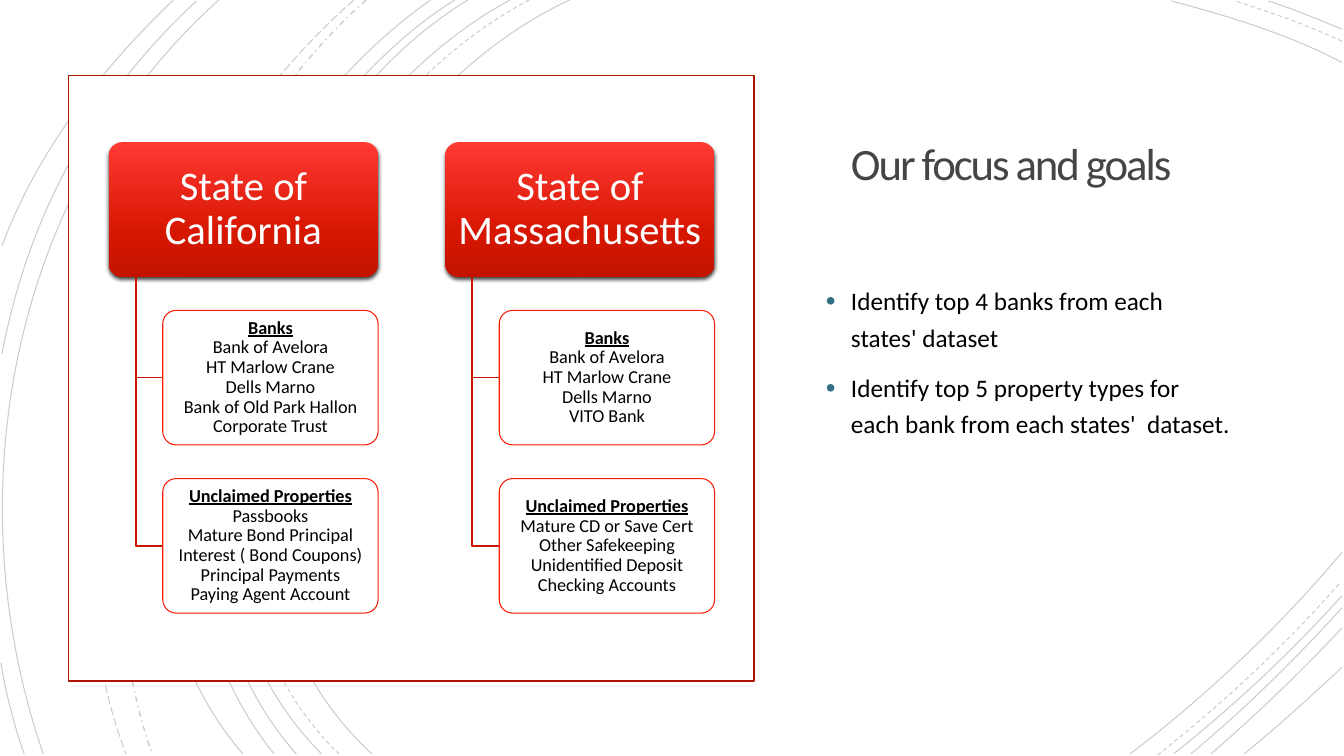
"""Builds the slide on the focus and goals for two states' datasets."""
from copy import deepcopy
from dataclasses import dataclass
from typing import Optional

from lxml.etree import SubElement
from pptx import Presentation
from pptx.dml.color import RGBColor
from pptx.enum.dml import MSO_LINE as Dash
from pptx.enum.shapes import MSO_SHAPE as Preset
from pptx.enum.text import MSO_ANCHOR as Anchor, PP_ALIGN as Align
from pptx.oxml.ns import qn
from pptx.util import Inches, Pt

COLUMNS, ROWS = 13.33, 7.5
CELL = Inches(1)
FONT = "Calibri"
BOX_W, BOX_H = 2.67, 1.335
STEP = 1.25
TREE_LEFT, TREE_TOP = 1.08, 1.41
Point = tuple[float, float]


@dataclass
class Arc:
    start: Point
    bend_in: Point
    bend_out: Point
    end: Point
    dash: Optional[Dash] = None
    weight: float = 0.75


@dataclass
class Branch:
    heading: str
    entries: list[str]


@dataclass
class State:
    title: str
    branches: list[Branch]


ARCS = [
    Arc((5.65, 0), (3.15, 1.15), (1.43, 5.4), (3.69, 7.48)),
    Arc((13.31, 0.62), (12.78, 0.34), (12.18, 0.16), (11.62, 0.01)),
    Arc((11.21, 7.48), (11.97, 6.9), (12.69, 6.22), (13.31, 5.48)),
    Arc((5.25, 0), (2.85, 1.25), (1.23, 5.37), (3.36, 7.48), Dash.DASH),
    Arc((13.31, 0.41), (12.97, 0.25), (12.6, 0.12), (12.25, 0.01), Dash.DASH),
    Arc((11.48, 7.49), (12.13, 6.98), (12.75, 6.4), (13.3, 5.77), Dash.DASH),
    Arc((5.06, 0), (2.7, 1.27), (1.1, 5.37), (3.19, 7.48)),
    Arc((13.31, 0.29), (13.07, 0.19), (12.83, 0.09), (12.58, 0.01)),
    Arc((11.64, 7.48), (12.23, 7.01), (12.8, 6.48), (13.31, 5.91)),
    Arc((4.64, 0), (2.44, 1.33), (1.1, 5.41), (2.94, 7.48)),
    Arc((11.81, 7.48), (12.34, 7.04), (12.84, 6.55), (13.31, 6.03)),
    Arc((4.51, 0), (2.31, 1.38), (0.97, 5.33), (2.72, 7.48)),
    Arc((12.01, 7.48), (12.46, 7.09), (12.9, 6.67), (13.31, 6.23)),
    Arc((4.27, 0), (2.17, 1.47), (0.53, 5.29), (2.41, 7.48)),
    Arc((12.34, 7.48), (12.67, 7.21), (12.99, 6.92), (13.31, 6.62)),
    Arc((3.63, 0), (1.76, 1.66), (0.65, 5.09), (1.51, 7.48), Dash.DASH_DOT, 1),
    Arc((3.51, 0), (1.57, 1.69), (0.29, 4.99), (1.25, 7.48), Dash.LONG_DASH),
    Arc((2.17, 0), (0.11, 1.85), (-0.46, 4.9), (0.43, 7.48)),
    Arc((1.95, 0.01), (0.92, 0.96), (0.28, 2.14), (0.02, 3.51)),
    Arc((0.01, 6.58), (0.06, 6.89), (0.14, 7.19), (0.24, 7.48)),
    Arc((1.72, 0), (1, 0.69), (0.37, 1.5), (0.02, 2.44)),
]

STATES = [
    State("State of California", [
        Branch("Banks", ["Bank of Avelora", "HT Marlow Crane", "Dells Marno",
                         "Bank of Old Park Hallon Corporate Trust"]),
        Branch("Unclaimed Properties", ["Passbooks", "Mature Bond Principal", "Interest ( Bond Coupons)",
                                        "Principal Payments", "Paying Agent Account"]),
    ]),
    State("State of Massachusetts", [
        Branch("Banks", ["Bank of Avelora", "HT Marlow Crane", "Dells Marno", "VITO Bank"]),
        Branch("Unclaimed Properties", ["Mature CD or Save Cert", "Other Safekeeping",
                                        "Unidentified Deposit", "Checking Accounts"]),
    ]),
]

GOALS = ["Identify top 4 banks from each states' dataset",
         "Identify top 5 property types for each bank from each states'  dataset."]


def grid(*cells: float) -> list[int]:
    return [round(cell * CELL) for cell in cells]


def color(code: str) -> RGBColor:
    return RGBColor.from_string(code)


def fade(shape, percent: int) -> None:
    tint = shape.element.spPr.find(".//" + qn("a:srgbClr"))
    SubElement(tint, qn("a:alpha"), val=str(percent * 1000))


def outline(slide, points: list[Point], code: str, weight: float):
    start, *others = [grid(*point) for point in points]
    builder = slide.shapes.build_freeform(*start, scale=1.0)
    builder.add_line_segments(others, close=False)
    stroke = builder.convert_to_shape()
    stroke.shadow.inherit = False
    stroke.fill.background()
    stroke.line.color.rgb = color(code)
    stroke.line.width = Pt(weight)
    return stroke


def draw_arc(slide, arc: Arc) -> None:
    stroke = outline(slide, [arc.start, arc.bend_in, arc.bend_out, arc.end], "000000", arc.weight)
    if arc.dash:
        stroke.line.dash_style = arc.dash
    fade(stroke, 20)
    segments = list(stroke.element.iter(qn("a:lnTo")))
    parent = segments[0].getparent()
    bezier = SubElement(parent, qn("a:cubicBezTo"))
    for segment in segments:
        bezier.append(segment[0])
        parent.remove(segment)


def draw_box(slide, preset: Preset, area: list[int], code: str, weight: float):
    box = slide.shapes.add_shape(preset, *area)
    box.shadow.inherit = False
    box.fill.solid()
    box.fill.fore_color.rgb = color("FFFFFF")
    box.line.color.rgb = color(code)
    box.line.width = Pt(weight)
    return box


def set_up(frame, margins: tuple[float, float, float, float]) -> None:
    frame.word_wrap = True
    frame.vertical_anchor = Anchor.MIDDLE
    frame.margin_left, frame.margin_top, frame.margin_right, frame.margin_bottom = grid(*margins)


def style(paragraph, size: float, code: str, spacing: float) -> None:
    paragraph.line_spacing = spacing
    for run in paragraph.runs:
        run.font.name, run.font.size = FONT, Pt(size)
        run.font.color.rgb = color(code)


def draw_node(slide, area: list[int], text: str, size: float, code: str, margins: tuple):
    node = draw_box(slide, Preset.ROUNDED_RECTANGLE, area, "F81B02", 0.75)
    node.adjustments[0] = 0.1
    set_up(node.text_frame, margins)
    label = node.text_frame.paragraphs[0]
    label.text = text
    label.alignment = Align.CENTER
    style(label, size, code, 0.9)
    return node


def draw_state(slide, left: float, state: State) -> None:
    root = draw_node(slide, grid(left, TREE_TOP, BOX_W, BOX_H), state.title, 29, "FFFFFF", (0.06, 0.04, 0.06, 0.04))
    root.line.fill.background()
    root.fill.gradient()
    root.fill.gradient_angle = 270
    stops = root.element.spPr.find(".//" + qn("a:gsLst"))
    stops.append(deepcopy(stops[-1]))
    for stop, (position, code) in zip(root.fill.gradient_stops, [(0, "FF3933"), (0.69, "D51600"), (1, "C31400")]):
        stop.position, stop.color.rgb = position, color(code)
    effects = root.element.spPr.find(qn("a:effectLst"))
    shadow = SubElement(effects, qn("a:outerShdw"), blurRad=str(Pt(3)), dist=str(Pt(2)), dir="5400000")
    SubElement(SubElement(shadow, qn("a:srgbClr"), val="000000"), qn("a:alpha"), val="75000")

    trunk, leaf_left = left + 0.1 * BOX_W, left + 0.2 * BOX_W
    for level, branch in enumerate(state.branches, 1):
        top = TREE_TOP + level * STEP * BOX_H
        middle = top + BOX_H / 2
        outline(slide, [(trunk, TREE_TOP + BOX_H), (trunk, middle), (leaf_left, middle)], "C71602", 1.25)
        leaf = draw_node(slide, grid(leaf_left, top, 0.8 * BOX_W, BOX_H),
                         "\v".join([branch.heading, *branch.entries]), 13, "000000", (0.03, 0.02, 0.03, 0.02))
        fade(leaf, 90)
        heading = leaf.text_frame.paragraphs[0].runs[0].font
        heading.bold = heading.underline = True


def draw_title(slide) -> None:
    frame = slide.shapes.add_textbox(*grid(8.19, 0.87, 4.51, 1.57)).text_frame
    set_up(frame, (0.25, 0.25, 0.25, 0.25))
    frame.text = "Our focus and goals"
    style(frame.paragraphs[0], 32, "454545", 0.85)
    frame.paragraphs[0].runs[0].font._element.set("spc", "-150")


def draw_goals(slide) -> None:
    frame = slide.shapes.add_textbox(*grid(8.19, 1.53, 4.02, 4.43)).text_frame
    set_up(frame, (0, 0.05, 0, 0.41))
    frame.text = "\n".join(GOALS)
    for goal in frame.paragraphs:
        style(goal, 18, "000000", 1.2)
        goal.space_before = Pt(10)
        layout = goal._p.get_or_add_pPr()
        layout.set("marL", str(Inches(0.25)))
        layout.set("indent", str(-Inches(0.25)))
        SubElement(SubElement(layout, qn("a:buClr")), qn("a:srgbClr"), val="336E82")
        SubElement(layout, qn("a:buSzPct"), val="110000")
        SubElement(layout, qn("a:buFont"), typeface="Arial")
        SubElement(layout, qn("a:buChar"), char="•")


def main() -> None:
    deck = Presentation()
    deck.slide_width, deck.slide_height = grid(COLUMNS, ROWS)
    slide = deck.slides.add_slide(deck.slide_layouts[6])
    for arc in ARCS:
        draw_arc(slide, arc)
    draw_title(slide)
    draw_goals(slide)
    draw_box(slide, Preset.RECTANGLE, grid(0.68, 0.75, 6.8, 6.01), "AF1301", 1.25)
    for index, state in enumerate(STATES):
        draw_state(slide, TREE_LEFT + index * STEP * BOX_W, state)
    deck.save("out.pptx")


if __name__ == "__main__":
    main()
